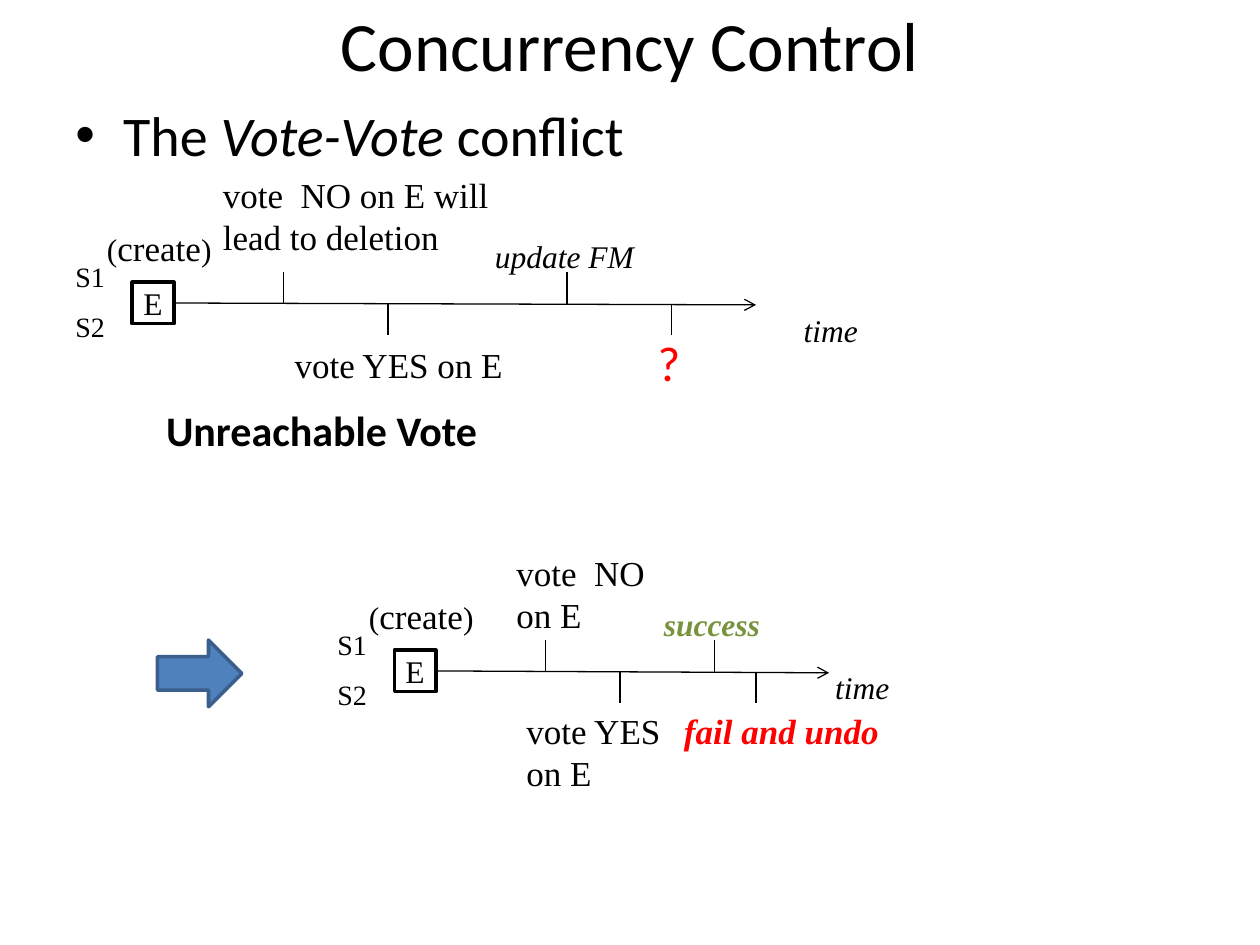
from lxml.etree import SubElement
from pptx import Presentation
from pptx.dml.color import RGBColor
from pptx.enum.shapes import MSO_CONNECTOR, MSO_SHAPE
from pptx.enum.text import MSO_ANCHOR, PP_ALIGN
from pptx.oxml.ns import qn
from pptx.util import Inches, Pt

BLACK, WHITE, RED, GREEN = "000000", "FFFFFF", "FF0000", "77933C"
BLUE, NAVY = "4F81BD", "3A5F8C"
SANS, SERIF = "Calibri", "Times New Roman"


def rgb(value):
    return RGBColor.from_string(value)


class Deck:
    def __init__(self):
        self.prs = Presentation()
        self.prs.slide_width, self.prs.slide_height = Inches(10), Inches(7.5)
        self.s = self.prs.slides.add_slide(self.prs.slide_layouts[6])

    def run(self, p, text, size, font=SERIF, color=BLACK, bold=False, italic=False):
        r = p.add_run()
        r.text = text
        r.font.name, r.font.size = font, Pt(size)
        r.font.bold, r.font.italic = bold, italic
        r.font.color.rgb = rgb(color)

    def box(self, x, y, w, h, wrap=True):
        tf = self.s.shapes.add_textbox(Inches(x), Inches(y), Inches(w), Inches(h)).text_frame
        tf.word_wrap = wrap
        return tf

    def label(self, text, x, y, w, h, size, wrap=True, **style):
        p = self.box(x, y, w, h, wrap).paragraphs[0]
        self.run(p, text, size, **style)

    def title(self, text):
        tf = self.box(0.5, 0, 9, 0.7)
        tf.vertical_anchor = MSO_ANCHOR.MIDDLE
        p = tf.paragraphs[0]
        p.alignment = PP_ALIGN.CENTER
        self.run(p, text, 39.6, SANS)

    def bullet(self, parts):
        p = self.box(0.5, 0.75, 9, 0.67).paragraphs[0]
        pPr = p._p.get_or_add_pPr()
        pPr.set("marL", str(Inches(0.38)))
        pPr.set("indent", str(Inches(-0.38)))
        SubElement(pPr, qn("a:buFont")).set("typeface", "Arial")
        SubElement(pPr, qn("a:buChar")).set("char", "•")
        for text, italic in parts:
            self.run(p, text, 32, SANS, italic=italic)

    def shape(self, kind, x, y, w, h, fill, line):
        sp = self.s.shapes.add_shape(kind, Inches(x), Inches(y), Inches(w), Inches(h))
        sp.shadow.inherit = False
        sp.fill.solid()
        sp.fill.fore_color.rgb = rgb(fill)
        sp.line.color.rgb = rgb(line)
        sp.line.width = Pt(2)
        return sp

    def line(self, x1, y1, x2, y2, start=None, arrow=False):
        c = self.s.shapes.add_connector(
            MSO_CONNECTOR.STRAIGHT, Inches(x1), Inches(y1), Inches(x2), Inches(y2))
        c.line.color.rgb = rgb(BLACK)
        c.line.width = Pt(0.75)
        if start is not None:
            c.begin_connect(start, 3)
        if arrow:
            SubElement(c.line._get_or_add_ln(), qn("a:tailEnd")).set("type", "arrow")
        SubElement(c._element.spPr, qn("a:effectLst"))

    def timeline(self, x, y, end, above, below):
        axis = y + 0.66
        self.label("S1", x, y + 0.26, 0.44, 0.37, 16, wrap=False)
        self.label("S2", x, y + 0.66, 0.5, 0.37, 16)
        event = self.shape(MSO_SHAPE.RECTANGLE, x + 0.55, y + 0.49, 0.33, 0.33, WHITE, BLACK)
        tf = event.text_frame
        tf.vertical_anchor = MSO_ANCHOR.MIDDLE
        tf.word_wrap = False
        p = tf.paragraphs[0]
        p.alignment = PP_ALIGN.CENTER
        self.run(p, "E", 18)
        p = self.box(x + 0.25, y, 1.25, 0.44).paragraphs[0]
        for text, size in (("(", 18), ("create", 20), (")", 18)):
            self.run(p, text, size)
        self.line(x + 0.88, axis, end, axis + 0.01, event, arrow=True)
        for tick in above:
            self.line(tick, axis - 0.25, tick, axis)
        for tick in below:
            self.line(tick, axis, tick, axis + 0.25)


def main():
    d = Deck()
    d.title("Concurrency Control")
    d.bullet([("The ", False), ("Vote-Vote ", True), ("conflict", False)])

    d.timeline(0.5, 1.75, 6, above=(2.25, 4.5), below=(3.08, 5.33))
    d.label("vote  NO on E will lead to deletion", 1.67, 1.33, 2.58, 0.77, 20)
    d.label("vote YES on E", 2.24, 2.68, 2.01, 0.44, 20)
    d.label("update FM", 3.83, 1.83, 1.67, 0.4, 18, italic=True)
    d.label("time", 6.28, 2.42, 0.64, 0.4, 18, wrap=False, italic=True)
    d.label("?", 5.12, 2.59, 0.38, 0.57, 28, wrap=False, font=SANS, color=RED)
    d.label("Unreachable Vote", 1.22, 3.16, 2.7, 0.5, 24, wrap=False, font=SANS, bold=True)

    d.shape(MSO_SHAPE.RIGHT_ARROW, 1.25, 5.08, 0.67, 0.53, BLUE, NAVY)
    d.timeline(2.58, 4.67, 6.58, above=(4.33, 5.67), below=(4.92, 6))
    d.label("vote  NO on E", 4, 4.33, 1.33, 0.77, 20)
    d.label("vote YES on E", 4.08, 5.58, 1.5, 0.77, 20)
    d.label("success", 5.17, 4.75, 1.67, 0.4, 18, color=GREEN, bold=True, italic=True)
    d.label("fail and undo", 5.33, 5.58, 1.83, 0.44, 20, color=RED, bold=True, italic=True)
    d.label("time", 6.53, 5.25, 0.64, 0.4, 18, wrap=False, italic=True)

    d.prs.save("out.pptx")


if __name__ == "__main__":
    main()
